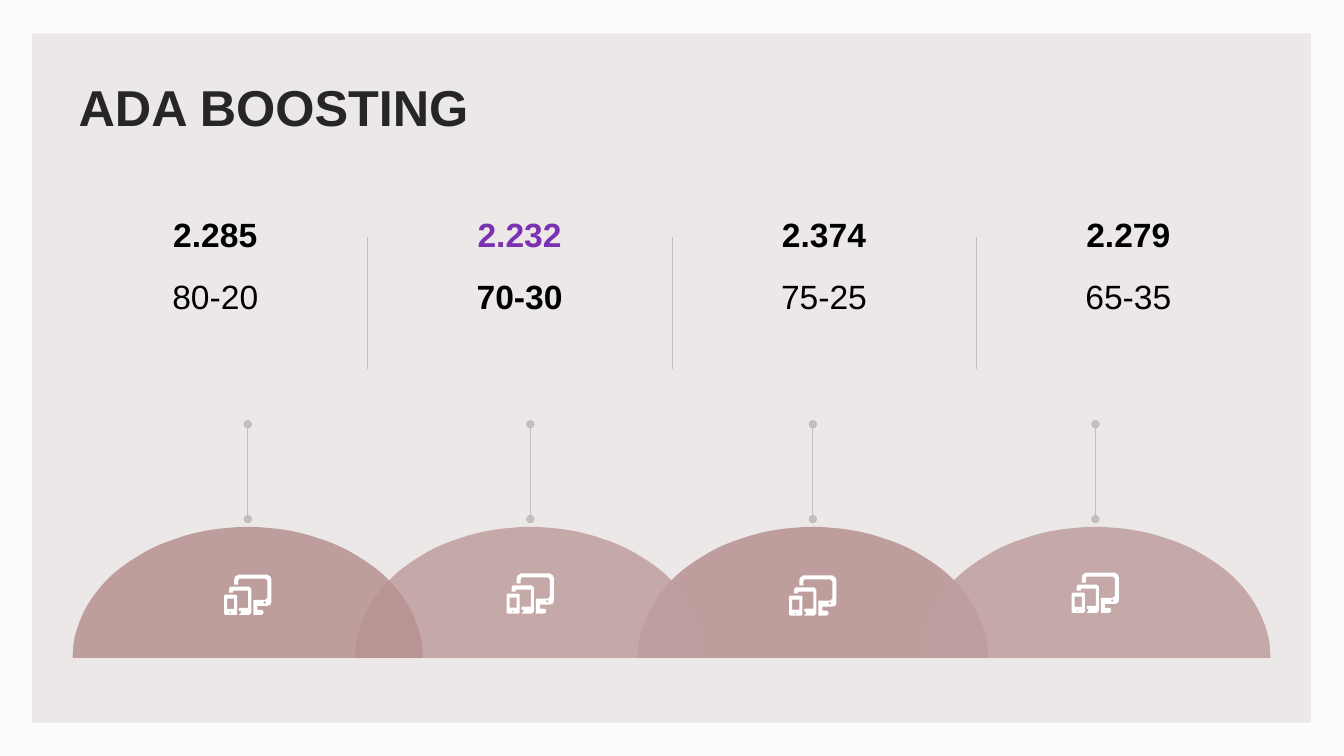
import math
from dataclasses import dataclass

import pptx
import pptx.dml.color
import pptx.enum.shapes
import pptx.enum.text
import pptx.oxml.ns
import pptx.shapes.autoshape
import pptx.shapes.connector
import pptx.slide
import pptx.util
from lxml import etree

Cm = pptx.util.Cm
Pt = pptx.util.Pt
RGBColor = pptx.dml.color.RGBColor
qn = pptx.oxml.ns.qn
Anchor = pptx.enum.text.MSO_ANCHOR
Align = pptx.enum.text.PP_ALIGN

PAPER = RGBColor(0xFD, 0xFC, 0xFC)
PANEL = RGBColor(0xEC, 0xE8, 0xE8)
INK = RGBColor(0x26, 0x26, 0x26)
BLACK = RGBColor(0x00, 0x00, 0x00)
PURPLE = RGBColor(0x7B, 0x32, 0xB2)
GREY = RGBColor(0xBF, 0xBF, 0xBF)
ROSE = RGBColor(0xB6, 0x91, 0x91)
PALE_ROSE = RGBColor(0xBF, 0x9F, 0x9F)
WHITE = RGBColor(0xFF, 0xFF, 0xFF)

FONT = "Arial"
COLUMN_LEFT, COLUMN_WIDTH, COLUMN_PITCH = 1.83, 7.19, 7.67
DIVIDER_LEFT = 9.27
ARCH_LEFT, ARCH_WIDTH, ARCH_PITCH = 1.83, 8.83, 7.12
ARCH_TOP, ARCH_HEIGHT = 13.28, 3.3
ARCH_STEPS = 60
ARCH_ORDER = (2, 1, 0, 3)
ICON_WIDTH = 1.19
ICON_UNIT = Cm(ICON_WIDTH) / 47

Outline = list[tuple[int, int]]

DEVICES_ICON: list[Outline] = [
    [(6, 37), (7, 38), (6, 39), (5, 38)],
    [(40, 26), (42, 28), (40, 29), (39, 28)],
    [(3, 24), (3, 34), (10, 34), (10, 24)],
    [(1, 20), (12, 20), (13, 21), (13, 39), (12, 40), (1, 40), (0, 39), (0, 21)],
    [(8, 12), (25, 12), (27, 14), (27, 38), (25, 40), (15, 40), (15, 39),
     (16, 39), (17, 37), (16, 36), (15, 36), (15, 33), (24, 33), (24, 16),
     (9, 16), (9, 18), (5, 18), (5, 14), (6, 12)],
    [(14, 0), (43, 0), (46, 2), (47, 5), (47, 27), (46, 30), (43, 31),
     (33, 31), (33, 35), (37, 35), (39, 36), (39, 39), (37, 40), (29, 40),
     (29, 25), (41, 25), (43, 23), (43, 6), (41, 4), (15, 4), (14, 6),
     (14, 10), (10, 10), (10, 5), (11, 2)],
]


@dataclass(frozen=True)
class Split:
    score: str
    ratio: str
    arch_color: RGBColor
    icon_top: float
    score_color: RGBColor = BLACK
    ratio_bold: bool = False


SPLITS = [
    Split("2.285", "80-20", ROSE, 14.48),
    Split("2.232", "70-30", PALE_ROSE, 14.45, PURPLE, True),
    Split("2.374", "75-25", ROSE, 14.5),
    Split("2.279", "65-35", PALE_ROSE, 14.43),
]


def paint(shape: pptx.shapes.autoshape.Shape, color: RGBColor) -> None:
    shape.shadow.inherit = False
    shape.fill.solid()
    shape.fill.fore_color.rgb = color
    shape.line.fill.background()


def format_text(
    frame: pptx.text.text.TextFrame, text: str, size: float, color: RGBColor,
    bold: bool, align: Align, anchor: Anchor,
) -> None:
    frame.text = text
    frame.word_wrap = True
    frame.auto_size = pptx.enum.text.MSO_AUTO_SIZE.NONE
    frame.vertical_anchor = anchor
    paragraph = frame.paragraphs[0]
    paragraph.alignment = align
    font = paragraph.runs[0].font
    font.name, font.size, font.bold = FONT, Pt(size), bold
    font.color.rgb = color


def add_title(slide: pptx.slide.Slide) -> None:
    title = slide.shapes.title
    title.left, title.top, title.width, title.height = Cm(1.7), Cm(1.7), Cm(30.48), Cm(1.96)
    frame = title.text_frame
    frame.margin_left, frame.margin_right = Cm(0.28), Cm(0.2)
    frame.margin_top = frame.margin_bottom = Cm(0.1)
    format_text(frame, "ADA BOOSTING", 36, INK, True, Align.LEFT, Anchor.MIDDLE)


def add_panel(slide: pptx.slide.Slide) -> None:
    panel = slide.shapes.add_shape(
        pptx.enum.shapes.MSO_SHAPE.RECTANGLE, Cm(0.81), Cm(0.84), Cm(32.23), Cm(17.37)
    )
    paint(panel, PANEL)
    slide.shapes.title.element.addprevious(panel.element)


def add_column(slide: pptx.slide.Slide, index: int, split: Split) -> None:
    left = Cm(COLUMN_LEFT + index * COLUMN_PITCH)
    ratio = slide.shapes.add_textbox(left, Cm(6.53), Cm(COLUMN_WIDTH), Cm(3.28)).text_frame
    format_text(ratio, split.ratio, 24, BLACK, split.ratio_bold, Align.CENTER, Anchor.TOP)
    ratio.paragraphs[0].line_spacing = 1.3
    score = slide.shapes.add_textbox(left, Cm(5.05), Cm(COLUMN_WIDTH), Cm(1.47)).text_frame
    format_text(score, split.score, 24, split.score_color, True, Align.CENTER, Anchor.BOTTOM)


def add_vertical_line(
    slide: pptx.slide.Slide, x: float, start: float, end: float
) -> pptx.shapes.connector.Connector:
    connector = slide.shapes.add_connector(
        pptx.enum.shapes.MSO_CONNECTOR.STRAIGHT, Cm(x), Cm(start), Cm(x), Cm(end)
    )
    connector.line.color.rgb = GREY
    connector.line.width = Pt(0.75)
    etree.SubElement(connector.element.spPr, qn("a:effectLst"))
    return connector


def add_pin(slide: pptx.slide.Slide, x: float) -> None:
    pin = add_vertical_line(slide, x, 13.08, 10.69)
    outline = pin.element.spPr.find(qn("a:ln"))
    for end in ("a:headEnd", "a:tailEnd"):
        etree.SubElement(outline, qn(end), type="oval")


def add_outlines(
    slide: pptx.slide.Slide, outlines: list[Outline], scale: float,
    left: float, top: float, color: RGBColor,
) -> pptx.shapes.autoshape.Shape:
    builder = slide.shapes.build_freeform(*outlines[0][0], scale=scale)
    for number, outline in enumerate(outlines):
        if number:
            builder.move_to(*outline[0])
        builder.add_line_segments(outline[1:], close=True)
    shape = builder.convert_to_shape(Cm(left), Cm(top))
    paint(shape, color)
    return shape


def add_arch(slide: pptx.slide.Slide, index: int, color: RGBColor) -> None:
    radius, height = ARCH_WIDTH * 50, ARCH_HEIGHT * 100
    angles = [math.pi * step / ARCH_STEPS for step in range(ARCH_STEPS + 1)]
    outline = [
        (round(radius * (1 - math.cos(angle))), round(height * (1 - math.sin(angle))))
        for angle in angles
    ]
    left = ARCH_LEFT + index * ARCH_PITCH
    arch = add_outlines(slide, [outline], Cm(0.01), left, ARCH_TOP, color)
    fill_color = arch.element.spPr.find(qn("a:solidFill")).find(qn("a:srgbClr"))
    etree.SubElement(fill_color, qn("a:alpha"), val="85000")


def main() -> None:
    presentation = pptx.Presentation()
    presentation.slide_width, presentation.slide_height = Cm(33.87), Cm(19.05)
    slide = presentation.slides.add_slide(presentation.slide_layouts[5])
    slide.background.fill.solid()
    slide.background.fill.fore_color.rgb = PAPER
    add_title(slide)
    add_panel(slide)
    for index, split in enumerate(SPLITS):
        add_column(slide, index, split)
    for index in range(len(SPLITS) - 1):
        add_vertical_line(slide, DIVIDER_LEFT + index * COLUMN_PITCH, 5.97, 9.3)
    for index in ARCH_ORDER:
        add_arch(slide, index, SPLITS[index].arch_color)
    for index, split in enumerate(SPLITS):
        center = ARCH_LEFT + ARCH_WIDTH / 2 + index * ARCH_PITCH
        add_pin(slide, center)
        add_outlines(
            slide, DEVICES_ICON, ICON_UNIT, center - ICON_WIDTH / 2, split.icon_top, WHITE
        )
    presentation.save("out.pptx")


if __name__ == "__main__":
    main()
